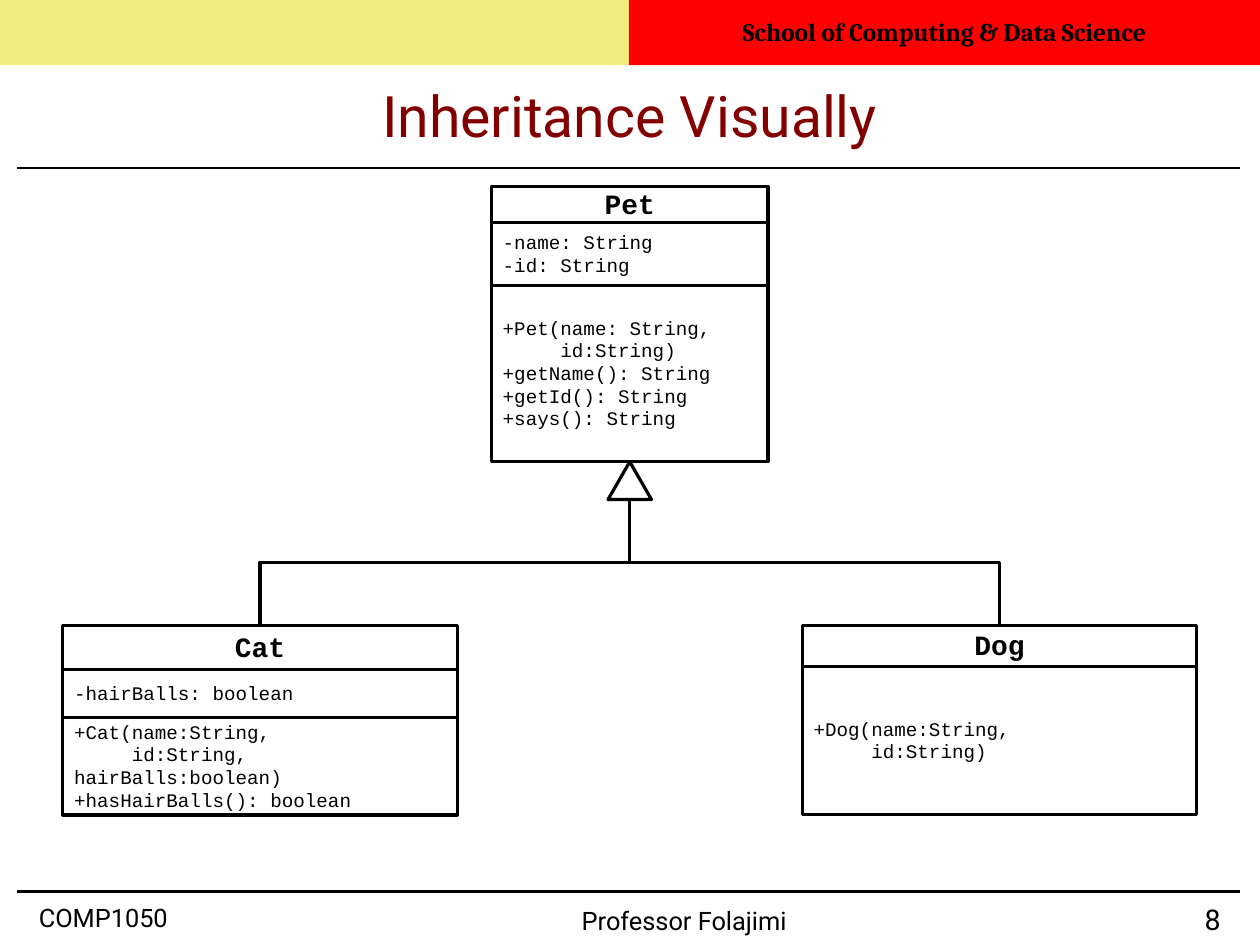
import pptx
import pptx.util
import pptx.dml.color
import pptx.enum.shapes
import pptx.enum.text
from dataclasses import dataclass
from lxml import etree

Inches, Pt = pptx.util.Inches, pptx.util.Pt
RGB = pptx.dml.color.RGBColor.from_string
SHAPE = pptx.enum.shapes.MSO_SHAPE
CONNECTOR = pptx.enum.shapes.MSO_CONNECTOR
ALIGN = pptx.enum.text.PP_ALIGN
ANCHOR = pptx.enum.text.MSO_ANCHOR
A = "{http://schemas.openxmlformats.org/drawingml/2006/main}"


@dataclass(frozen=True)
class Theme:
    ink: str = "000000"
    paper: str = "FFFFFF"
    yellow: str = "E3DE00"
    red: str = "FF0000"
    title_ink: str = "820000"
    sans: str = "Roboto"
    serif: str = "Cambria"
    mono: str = "Courier New"
    title: float = 36
    footer: float = 16
    number: float = 18
    class_name: float = 17.6
    member: float = 12.1
    rule: float = 1.5
    outline: float = 2


T = Theme()
# Page of 793.75 by 595.25 points, in inches
W, H = 793.75 / 72, 595.25 / 72


def write(tf, lines, font, size, color=T.ink, bold=False, align=ALIGN.LEFT, spacing=0.98):
    tf.word_wrap = True
    for i, line in enumerate(lines):
        p = tf.paragraphs[0] if i == 0 else tf.add_paragraph()
        p.text = line
        p.alignment, p.line_spacing = align, spacing
        p.font.name, p.font.size, p.font.bold = font, Pt(size), bold
        p.font.color.rgb = RGB(color)


def add_label(s, box, text, font, size, top_inset=0.02, anchor=ANCHOR.TOP, **style):
    tf = s.shapes.add_textbox(*map(Inches, box)).text_frame
    tf.margin_left = tf.margin_right = tf.margin_bottom = 0
    tf.margin_top = Inches(top_inset)
    tf.vertical_anchor = anchor
    write(tf, [text], font, size, **style)


def add_block(s, box, fill, outlined=False, kind=SHAPE.RECTANGLE):
    sp = s.shapes.add_shape(kind, *map(Inches, box))
    sp.shadow.inherit = False
    sp.fill.solid()
    sp.fill.fore_color.rgb = RGB(fill)
    if outlined:
        sp.line.color.rgb = RGB(T.ink)
        sp.line.width = Pt(T.outline)
    else:
        sp.line.fill.background()
    sp.text_frame.vertical_anchor = ANCHOR.MIDDLE
    return sp


def add_line(s, kind, start, end, width):
    cxn = s.shapes.add_connector(kind, *map(Inches, (*start, *end)))
    cxn.line.color.rgb = RGB(T.ink)
    cxn.line.width = Pt(width)
    etree.SubElement(cxn._element.spPr, A + "effectLst")
    return cxn


def add_rule(s, y):
    add_line(s, CONNECTOR.STRAIGHT, (0.15, y), (10.85, y), T.rule)


def add_header(s, left, top, width, height):
    """Two-tone band with the school name on the right half."""
    half = width / 2
    sp = add_block(s, (left, top, half, height), T.yellow)
    color = sp._element.spPr.find(f"{A}solidFill/{A}srgbClr")
    etree.SubElement(color, A + "alpha").set("val", "50000")
    sp = add_block(s, (left + half - 0.01, top, half + 0.01, height), T.red)
    write(sp.text_frame, ["School of Computing & Data Science"], T.serif, T.footer,
          bold=True, align=ALIGN.CENTER)


def add_title(s, left, top, width, height):
    add_label(s, (left, top, width, height), "Inheritance Visually", T.sans, T.title,
              top_inset=0, anchor=ANCHOR.MIDDLE, color=T.title_ink,
              align=ALIGN.CENTER, spacing=1.17)
    add_rule(s, top + height + 0.16)


def add_footer(s, left, top, width, height):
    """Course, lecturer and slide number under a rule."""
    add_rule(s, top - 0.1)
    add_label(s, (left, top, 1.93, height), "COMP1050", T.sans, T.footer, spacing=0.93)
    add_label(s, (left + 4.75, top + 0.02, 1.93, height), "Professor Folajimi",
              T.sans, T.footer, spacing=0.93)
    add_label(s, (left + width - 0.83, top, 0.83, height), "8", T.sans, T.number,
              align=ALIGN.RIGHT, spacing=0.93)


def add_class(s, left, top, width, name, name_height, *sections):
    """UML class: a name row, then (height, lines) sections stacked below it."""
    sp = add_block(s, (left, top, width, name_height), T.paper, outlined=True)
    write(sp.text_frame, [name], T.mono, T.class_name, bold=True, align=ALIGN.CENTER)
    y = top + name_height
    for height, lines in sections:
        sp = add_block(s, (left, y, width, height), T.paper, outlined=True)
        write(sp.text_frame, lines, T.mono, T.member)
        y += height


def add_inheritance(s, parent_x, parent_bottom, child_xs, child_top):
    """Hollow arrowhead under the parent, with an elbow up from each child."""
    head_w, head_h = 0.38, 0.33
    add_block(s, (parent_x - head_w / 2, parent_bottom, head_w, head_h), T.paper,
              outlined=True, kind=SHAPE.ISOSCELES_TRIANGLE)
    base = parent_bottom + head_h
    rise, cy = child_top - base, (child_top + base) / 2
    for child_x in child_xs:
        # An elbow runs sideways first, so it is laid flat and turned upright
        run, cx = abs(child_x - parent_x), (child_x + parent_x) / 2
        side = 1 if child_x > parent_x else -1
        dx, dy = side * rise / 2, run / 2
        cxn = add_line(s, CONNECTOR.ELBOW, (cx - dx, cy + dy), (cx + dx, cy - dy), T.outline)
        turn = 270 if side > 0 else 90
        cxn._element.spPr.find(A + "xfrm").set("rot", str(turn * 60000))


def add_diagram(s, left, top, width, height):
    child_w, parent_w = 3.45, 2.42
    center, child_top = left + width / 2, top + 3.84
    dog_left = left + width - child_w
    add_class(s, center - parent_w / 2, top, parent_w, "Pet", 0.32,
              (0.55, ["-name: String", "-id: String"]),
              (1.54, ["+Pet(name: String,", "     id:String)", "+getName(): String",
                      "+getId(): String", "+says(): String"]))
    add_inheritance(s, center, top + 2.41,
                    (left + child_w / 2, dog_left + child_w / 2), child_top)
    add_class(s, left, child_top, child_w, "Cat", 0.39,
              (0.42, ["-hairBalls: boolean"]),
              (0.85, ["+Cat(name:String,", "     id:String, hairBalls:boolean)",
                      "+hasHairBalls(): boolean"]))
    add_class(s, dog_left, child_top, child_w, "Dog", 0.36,
              (1.3, ["+Dog(name:String,", "     id:String)"]))


def main():
    prs = pptx.Presentation()
    prs.slide_width, prs.slide_height = Inches(W), Inches(H)
    s = prs.slides.add_slide(prs.slide_layouts[6])
    add_header(s, 0, 0, W, 0.57)
    add_title(s, 0.55, 0.59, 9.92, 0.72)
    add_diagram(s, 0.55, 1.63, 9.92, 5.5)
    add_footer(s, 0.34, 7.9, 10.34, 0.28)
    prs.save("out.pptx")


if __name__ == "__main__":
    main()
